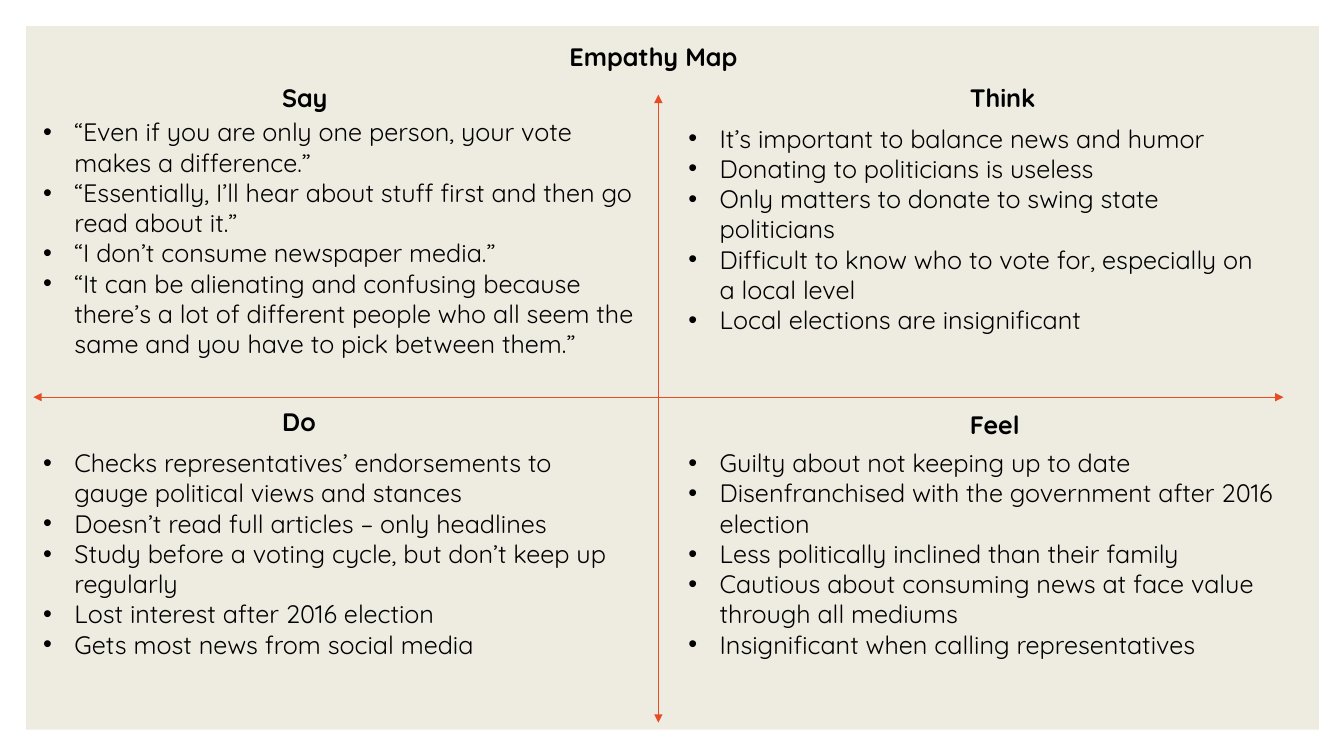
from dataclasses import dataclass

from lxml import etree
from pptx import Presentation
from pptx.dml.color import RGBColor
from pptx.enum import shapes, text
from pptx.oxml import ns
from pptx.util import Inches, Pt


@dataclass(frozen=True)
class Theme:
    panel: RGBColor = RGBColor.from_string("EEECE1")
    axis: RGBColor = RGBColor.from_string("E84C22")
    ink: RGBColor = RGBColor.from_string("000000")
    font: str = "Quicksand"
    size: int = 18
    rule: float = 0.5
    indent: float = 0.31


THEME = Theme()

# Heading, heading box, list box, list items
QUADRANTS = [
    ("Say", (2.7, 0.77, 0.72, 0.4), (0.33, 1.11, 6.2, 2.83), [
        "“Even if you are only one person, your vote makes a difference.”",
        "“Essentially, I’ll hear about stuff first and then go read about it.”",
        "“I don’t consume newspaper media.”",
        "“It can be alienating and confusing because there’s a lot of different "
        "people who all seem the same and you have to pick between them.”",
    ]),
    ("Think", (9.52, 0.77, 1.36, 0.4), (6.73, 1.17, 5.91, 2.52), [
        "It’s important to balance news and humor",
        "Donating to politicians is useless",
        "Only matters to donate to swing state politicians",
        "Difficult to know who to vote for, especially on a local level",
        "Local elections are insignificant",
    ]),
    ("Do", (2.7, 3.98, 0.84, 0.4), (0.33, 4.39, 6, 2.52), [
        "Checks representatives’ endorsements to gauge political views and stances",
        "Doesn’t read full articles – only headlines",
        "Study before a voting cycle, but don’t keep up regularly",
        "Lost interest after 2016 election",
        "Gets most news from social media",
    ]),
    ("Feel", (9.52, 4.01, 1.17, 0.4), (6.73, 4.39, 6.17, 2.52), [
        "Guilty about not keeping up to date",
        "Disenfranchised with the government after 2016 election",
        "Less politically inclined than their family",
        "Cautious about consuming news at face value through all mediums",
        "Insignificant when calling representatives",
    ]),
]


def add_panel(slide, box):
    panel = slide.shapes.add_shape(
        shapes.MSO_SHAPE.RECTANGLE, *map(Inches, box))
    panel.shadow.inherit = False
    panel.fill.solid()
    panel.fill.fore_color.rgb = THEME.panel
    panel.line.fill.background()


def add_axis(slide, start, end):
    """Draw a thin line with an arrowhead at both ends."""
    axis = slide.shapes.add_connector(
        shapes.MSO_CONNECTOR.STRAIGHT, *map(Inches, start + end))
    axis.line.color.rgb = THEME.axis
    axis.line.width = Pt(THEME.rule)
    line = axis.line._get_or_add_ln()
    for tag in ("a:headEnd", "a:tailEnd"):
        etree.SubElement(line, ns.qn(tag), type="triangle")
    etree.SubElement(axis._element.spPr, ns.qn("a:effectLst"))


def add_bullet(para):
    props = para._p.get_or_add_pPr()
    indent = Inches(THEME.indent)
    props.set("marL", str(indent))
    props.set("indent", str(-indent))
    etree.SubElement(props, ns.qn("a:buFont"), typeface="Arial")
    etree.SubElement(props, ns.qn("a:buChar"), char="•")


def add_text(slide, box, lines, bold=False, bullets=False):
    frame = slide.shapes.add_textbox(*map(Inches, box)).text_frame
    frame.word_wrap = True
    frame.auto_size = text.MSO_AUTO_SIZE.SHAPE_TO_FIT_TEXT
    frame.text = "\n".join(lines)
    style = {"name": THEME.font, "size": Pt(THEME.size), "bold": bold}
    for para in frame.paragraphs:
        if bullets:
            add_bullet(para)
        font = para.runs[0].font
        for name, value in style.items():
            setattr(font, name, value)
        font.color.rgb = THEME.ink


def main():
    deck = Presentation()
    deck.slide_width, deck.slide_height = Inches(13.33), Inches(7.5)
    slide = deck.slides.add_slide(deck.slide_layouts[6])
    add_panel(slide, (0.26, 0.26, 12.82, 6.98))
    add_axis(slide, (6.53, 0.94), (6.53, 7.17))
    add_axis(slide, (0.33, 3.94), (12.73, 3.94))
    add_text(slide, (5.55, 0.36, 1.96, 0.4), ["Empathy Map"], bold=True)
    for title, head, body, items in QUADRANTS:
        add_text(slide, head, [title], bold=True)
        add_text(slide, body, items, bullets=True)
    deck.save("out.pptx")


if __name__ == "__main__":
    main()
